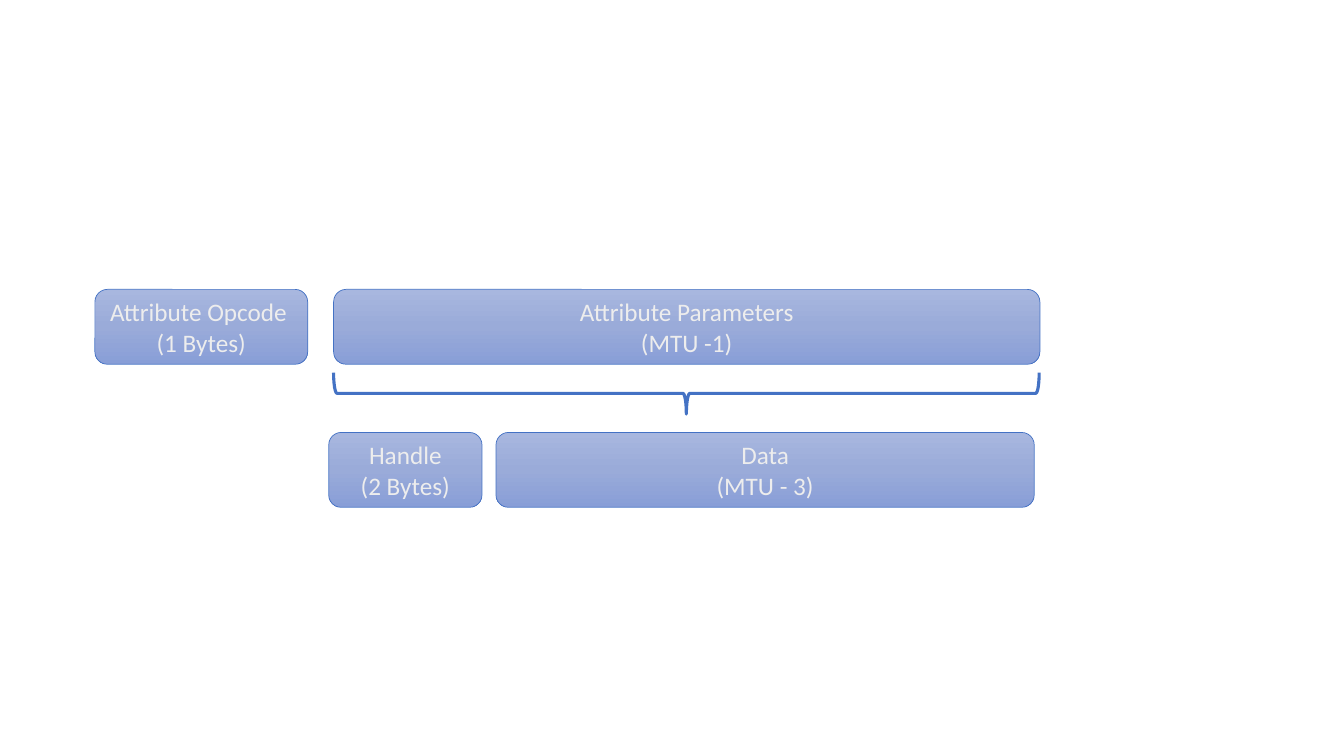
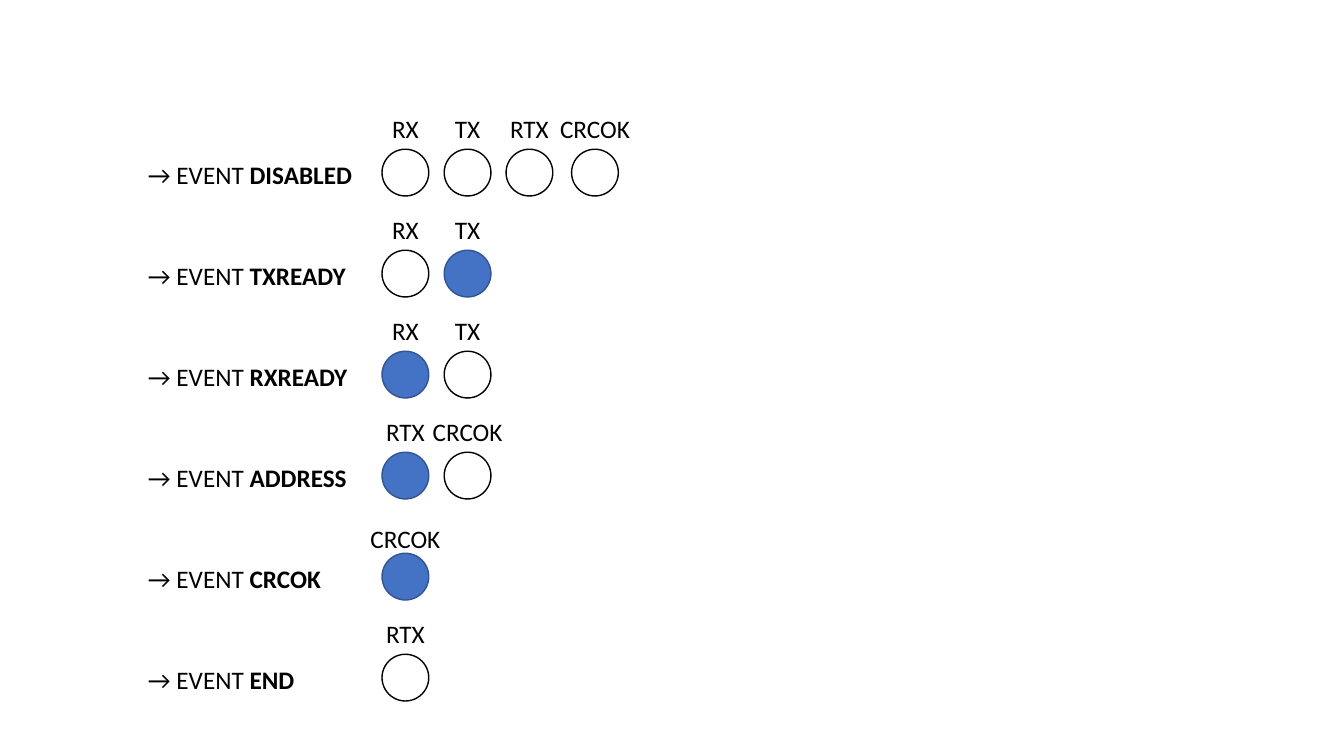
from copy import deepcopy

from pptx import Presentation
from pptx.dml.color import RGBColor
from pptx.enum.shapes import MSO_SHAPE
from pptx.enum.text import MSO_ANCHOR, PP_ALIGN
from pptx.oxml.ns import qn
from pptx.util import Pt

FONT = "Calibri"
BLACK, WHITE, BLUE, DARK_BLUE, PALE = "000000", "FFFFFF", "4472C4", "325491", "EDEDED"
FIELD_GRADIENT = ((0, "A8B7DF"), (0.5, "9AABD9"), (1, "889ED7"))

FIELD_HEIGHT = 53.5
PACKET_FIELDS = (
    (0, 0, 152, "Attribute Opcode \n(1 Bytes)"),
    (170.5, 0, 504.5, "Attribute Parameters\n(MTU -1)"),
    (167, 102.2, 109.5, "Handle\n(2 Bytes)"),
    (286.5, 102.2, 384.5, "Data\n(MTU - 3)"),
)

DOT_SIZE = 33.4
DOT_OFFSETS = (0, 44.4, 88.6, 135.4)
LABEL_WIDTHS = {"RX": 34, "TX": 33, "RTX": 42.5, "CRCOK": 65}
LABEL_HEIGHT = 29
ROW_PITCH = 72.15
EVENTS = (
    ("DISABLED", 0, (("RX", False), ("TX", False), ("RTX", False), ("CRCOK", False))),
    ("TXREADY", 0, (("RX", False), ("TX", True))),
    ("RXREADY", 0, (("RX", True), ("TX", False))),
    ("ADDRESS", 0, (("RTX", True), ("CRCOK", False))),
    ("CRCOK", 4, (("CRCOK", True),)),
    ("END", 0, (("RTX", False),)),
)


def paint(color_format, hex_color):
    """Give a colour format the colour of a hex string."""
    color_format.rgb = RGBColor.from_string(hex_color)


def format_text(text_frame, color, align):
    """Apply the shared font, colour and alignment to all text."""
    for paragraph in text_frame.paragraphs:
        paragraph.alignment = align
        for run in paragraph.runs:
            run.font.name = FONT
            run.font.size = Pt(18)
            paint(run.font.color, color)


def add_outlined(slide, preset, left, top, width, height, line_color, line_width):
    """Add a shadowless preset shape with an outline."""
    shape = slide.shapes.add_shape(preset, Pt(left), Pt(top), Pt(width), Pt(height))
    shape.shadow.inherit = False
    paint(shape.line.color, line_color)
    shape.line.width = Pt(line_width)
    return shape


def add_label(slide, left, top, width, align, text, bold_text=""):
    """Add one line of black text, with an optional bold ending."""
    label = slide.shapes.add_textbox(Pt(left), Pt(top), Pt(width), Pt(LABEL_HEIGHT))
    label.text_frame.word_wrap = False
    label.text_frame.text = text
    if bold_text:
        ending = label.text_frame.paragraphs[0].add_run()
        ending.text = bold_text
        ending.font.bold = True
    format_text(label.text_frame, BLACK, align)


def fill_gradient(shape):
    """Fill a field with the vertical three-stop gradient."""
    shape.fill.gradient()
    shape.fill.gradient_angle = 270
    stop_list = shape.element.spPr.find(qn("a:gradFill")).find(qn("a:gsLst"))
    stop_list.append(deepcopy(stop_list[0]))
    for stop, (position, color) in zip(shape.fill.gradient_stops, FIELD_GRADIENT):
        stop.position = position
        paint(stop.color, color)


def add_field(slide, left, top, width, text):
    """Add one packet field with its name and size."""
    field = add_outlined(slide, MSO_SHAPE.ROUNDED_RECTANGLE, left, top, width, FIELD_HEIGHT, BLUE, 0.5)
    fill_gradient(field)
    field.text_frame.text = text
    field.text_frame.vertical_anchor = MSO_ANCHOR.MIDDLE
    format_text(field.text_frame, PALE, PP_ALIGN.CENTER)


def add_brace_below(slide, left, top, width, height):
    """Add a brace that opens upwards and fills the given box."""
    turned_left = left + (width - height) / 2
    turned_top = top + (height - width) / 2
    brace = add_outlined(slide, MSO_SHAPE.LEFT_BRACE, turned_left, turned_top, height, width, BLUE, 2.25)
    brace.rotation = 270
    brace.fill.background()


def add_packet(slide, left, top):
    """Place the packet fields and the brace from the top left corner."""
    for x, y, width, text in PACKET_FIELDS:
        add_field(slide, left + x, top + y, width, text)
    add_brace_below(slide, left + 170.5, top + 59.5, 504, 29.5)


def add_dot(slide, left, top, name, lit, label_shift):
    """Add a state dot with its name centred above it."""
    dot = add_outlined(slide, MSO_SHAPE.OVAL, left, top, DOT_SIZE, DOT_SIZE, DARK_BLUE if lit else BLACK, 1)
    dot.fill.solid()
    paint(dot.fill.fore_color, BLUE if lit else WHITE)
    width = LABEL_WIDTHS[name]
    label_left = left + (DOT_SIZE - width) / 2
    add_label(slide, label_left, top - LABEL_HEIGHT + label_shift, width, PP_ALIGN.CENTER, name)


def add_event_row(slide, left, top, event, label_shift, dots):
    """Place an event name and its dots from the top left corner."""
    add_label(slide, left, top + 32.4, 162, PP_ALIGN.LEFT, "→ EVENT ", event)
    for offset, (name, lit) in zip(DOT_OFFSETS, dots):
        add_dot(slide, left + 174.3 + offset, top + LABEL_HEIGHT, name, lit, label_shift)


def add_event_list(slide, left, top):
    """Stack the event rows at an equal pitch."""
    for index, row in enumerate(EVENTS):
        add_event_row(slide, left, top + index * ROW_PITCH, *row)


def main():
    """Build both slides and save the presentation."""
    presentation = Presentation()
    presentation.slide_width = Pt(960)
    presentation.slide_height = Pt(540)
    blank = presentation.slide_layouts[6]
    add_packet(presentation.slides.add_slide(blank), 67.8, 206.7)
    add_event_list(presentation.slides.add_slide(blank), 98.6, 77.6)
    presentation.save("out.pptx")


if __name__ == "__main__":
    main()
